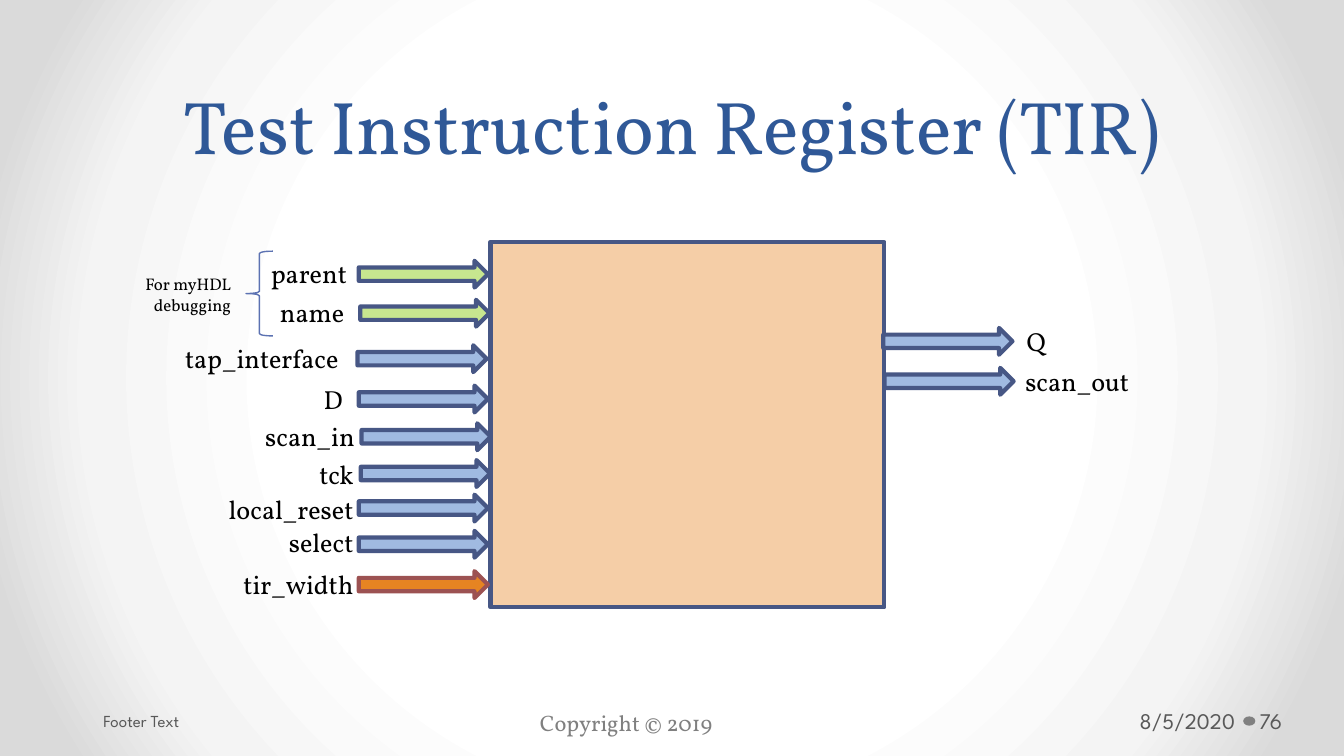
from dataclasses import dataclass

from pptx import Presentation
from pptx.dml.color import RGBColor
from pptx.enum.shapes import MSO_SHAPE
from pptx.enum.text import MSO_ANCHOR, MSO_AUTO_SIZE, PP_ALIGN
from pptx.oxml import parse_xml
from pptx.oxml.ns import nsdecls, qn
from pptx.util import Pt


@dataclass(frozen=True)
class Theme:
    serif: str = "Vollkorn"
    sans: str = "League Spartan"
    title: str = "2F5897"
    text: str = "000000"
    footer: str = "595959"
    muted: str = "808080"
    block: str = "F5CEA7"
    outline: str = "475785"
    brace: str = "5C72B2"
    signal: str = "A0BAE1"
    debug: str = "C7E68F"
    parameter: str = "E68422"
    parameter_outline: str = "9C5252"
    backdrop: tuple = ((50, "FFFFFF"), (76, "F4F4F4"), (92, "DADADA"))
    title_size: int = 40
    label_size: int = 14
    footer_size: int = 12
    small_size: int = 9
    line: float = 2.25
    thin_line: float = 0.75


class Diagram:
    def __init__(self, slide, theme):
        self.slide = slide
        self.theme = theme

    def background(self):
        self.slide.background.fill.gradient()
        gradient = next(self.slide.element.iter(qn("a:gradFill")))
        stops = "".join(
            f'<a:gs pos="{position * 1000}"><a:srgbClr val="{color}"/></a:gs>'
            for position, color in self.theme.backdrop
        )
        radial = parse_xml(
            f'<a:gradFill {nsdecls("a")} rotWithShape="1"><a:gsLst>{stops}</a:gsLst>'
            '<a:path path="circle"><a:fillToRect l="50000" t="50000" r="50000" b="50000"/>'
            "</a:path></a:gradFill>"
        )
        gradient.getparent().replace(gradient, radial)

    def shape(self, kind, left, top, width, height, fill=None, line=None, weight=None):
        shape = self.slide.shapes.add_shape(kind, Pt(left), Pt(top), Pt(width), Pt(height))
        shape.shadow.inherit = False
        if fill:
            shape.fill.solid()
            shape.fill.fore_color.rgb = RGBColor.from_string(fill)
        else:
            shape.fill.background()
        if line:
            shape.line.color.rgb = RGBColor.from_string(line)
            shape.line.width = Pt(weight or self.theme.line)
        else:
            shape.line.fill.background()
        return shape

    def arrow(self, left, top, fill, line=None):
        return self.shape(MSO_SHAPE.RIGHT_ARROW, left, top, 69.2, 14.4,
                          fill, line or self.theme.outline)

    def text(self, text, left, top, width, height, size, color=None, font=None,
             align=PP_ALIGN.LEFT, anchor=MSO_ANCHOR.TOP, insets=(7.2, 7.2), spacing=None):
        box = self.slide.shapes.add_textbox(Pt(left), Pt(top), Pt(width), Pt(height))
        frame = box.text_frame
        frame.word_wrap = True
        frame.auto_size = MSO_AUTO_SIZE.NONE
        frame.vertical_anchor = anchor
        frame.margin_left, frame.margin_right = map(Pt, insets)
        frame.text = text
        paragraph = frame.paragraphs[0]
        paragraph.alignment = align
        if spacing:
            paragraph.line_spacing = Pt(spacing)
        run_font = paragraph.runs[0].font
        run_font.name = font or self.theme.serif
        run_font.size = Pt(size)
        run_font.color.rgb = RGBColor.from_string(color or self.theme.text)
        return box

    def label(self, text, left, top, width, align=PP_ALIGN.LEFT):
        return self.text(text, left, top, width, 24.2, self.theme.label_size, align=align)

    def footer(self, text, left, width, size, insets, align=PP_ALIGN.LEFT):
        return self.text(text, left, 375.4, width, 21.6, size, self.theme.footer,
                         self.theme.sans, align, MSO_ANCHOR.MIDDLE, insets)


def main():
    presentation = Presentation()
    presentation.slide_width, presentation.slide_height = Pt(720), Pt(405)
    theme = Theme()
    diagram = Diagram(presentation.slides.add_slide(presentation.slide_layouts[6]), theme)
    diagram.background()

    diagram.text("Test Instruction Register (TIR)", 36, 0, 648, 94.5, theme.title_size,
                 theme.title, align=PP_ALIGN.CENTER, anchor=MSO_ANCHOR.BOTTOM, spacing=58)
    diagram.shape(MSO_SHAPE.RECTANGLE, 262.8, 129.6, 211, 195.8, theme.block, theme.outline)

    inputs = (
        ("parent", 131.8, 134.6, 61.2, 192.2, 139.7, theme.debug),
        ("name", 130.3, 155.5, 61.2, 193, 160.6, theme.debug),
        ("tap_interface", 90, 180, 98.6, 191.5, 185, theme.signal),
        ("D", 166.3, 201.6, 24.5, 192.2, 206.6, theme.signal),
        ("scan_in", 98.6, 221.8, 98.6, 193.7, 226.8, theme.signal),
        ("tck", 98, 241.9, 98.6, 193.3, 246.5, theme.signal),
        ("local_reset", 98, 260.6, 98.6, 192.2, 265, theme.signal),
        ("select", 98, 278.6, 98.6, 192.2, 284.4, theme.signal),
        ("tir_width", 98, 301, 98.6, 192.2, 306, theme.parameter),
    )
    for name, left, top, width, arrow_left, arrow_top, fill in inputs:
        line = theme.parameter_outline if fill == theme.parameter else theme.outline
        diagram.label(name, left, top, width, PP_ALIGN.RIGHT)
        diagram.arrow(arrow_left, arrow_top, fill, line)

    outputs = (
        ("Q", 542.9, 170.6, 24.5, 473.2, 175.7),
        ("scan_out", 542.2, 192.2, 132.5, 473.8, 197.1),
    )
    for name, left, top, width, arrow_left, arrow_top in outputs:
        diagram.label(name, left, top, width)
        diagram.arrow(arrow_left, arrow_top, theme.signal)

    diagram.shape(MSO_SHAPE.LEFT_BRACE, 131.8, 134.6, 14.4, 45.4,
                  line=theme.brace, weight=theme.thin_line)
    diagram.text("For myHDL debugging", 63.4, 143.3, 67.4, 28.8, theme.small_size,
                 align=PP_ALIGN.RIGHT)

    diagram.footer("Footer Text", 51.8, 224, theme.small_size, (3.6, 7.2))
    diagram.text("Copyright © 2019", 282.2, 376.6, 210.2, 21.6, theme.footer_size, theme.muted)
    diagram.footer("8/5/2020", 594, 71.3, theme.footer_size, (7.2, 3.6), PP_ALIGN.RIGHT)
    diagram.shape(MSO_SHAPE.OVAL, 666, 383.8, 6.5, 5, theme.muted)
    diagram.footer("76", 672.5, 43.9, theme.footer_size, (2.2, 3.6))

    presentation.save("out.pptx")


if __name__ == "__main__":
    main()
